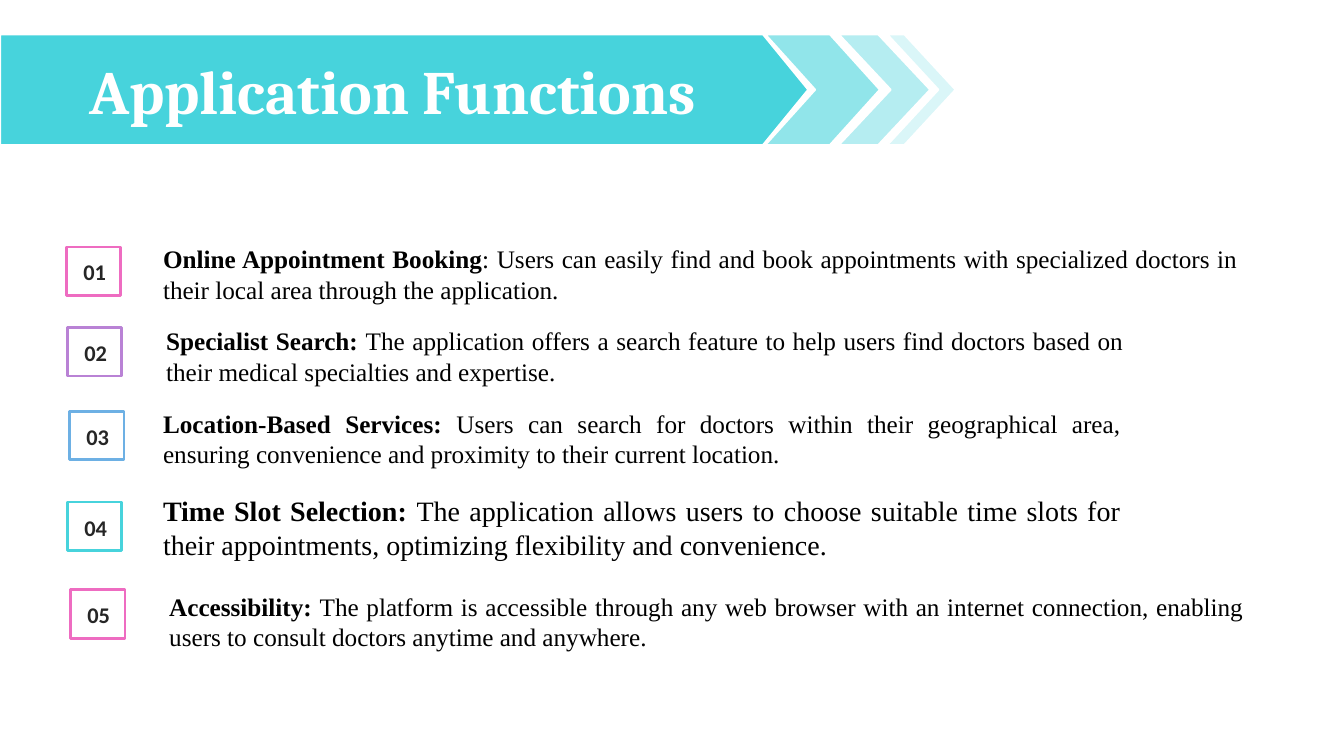
from dataclasses import dataclass
from typing import Any

from pptx import Presentation
from pptx import util as u
from pptx.dml.color import RGBColor
from pptx.enum import shapes, text

WHITE = RGBColor(0xFF, 0xFF, 0xFF)
BLACK = RGBColor(0x00, 0x00, 0x00)
CHARCOAL = RGBColor(0x26, 0x26, 0x26)
TEAL = RGBColor(0x47, 0xD3, 0xDC)
TEAL_MEDIUM = RGBColor(0x91, 0xE5, 0xEA)
TEAL_LIGHT = RGBColor(0xB5, 0xED, 0xF1)
TEAL_PALE = RGBColor(0xDA, 0xF6, 0xF8)
PINK = RGBColor(0xEE, 0x6C, 0xC1)
PURPLE = RGBColor(0xB9, 0x82, 0xD5)
BLUE = RGBColor(0x6D, 0xB0, 0xE4)

BANNER_TOP, BANNER_HEIGHT = 24.5, 79.2
BADGE_WIDTH, BADGE_HEIGHT = 38.9, 34.6
NUMBER_WIDTH, NUMBER_HEIGHT = 33.8, 26.6
NUMBER_SHIFT_X, NUMBER_SHIFT_Y = 3.2, 4.8

TITLE_FORMAT = {"name": "Cambria", "size": u.Pt(44), "bold": True}
NUMBER_FORMAT = {"name": "Calibri", "size": u.Pt(16), "bold": True}


@dataclass
class BannerPiece:
    kind: shapes.MSO_SHAPE
    left: float
    width: float
    point: float
    fill: RGBColor
    title: str = ""


@dataclass
class Feature:
    color: RGBColor
    badge_left: float
    badge_top: float
    left: float
    top: float
    width: float
    height: float
    heading: str
    detail: str
    size: float = 18


BANNER = [
    BannerPiece(shapes.MSO_SHAPE.CHEVRON, 599, 65.5, 0.567, TEAL_LIGHT),
    BannerPiece(shapes.MSO_SHAPE.PENTAGON, 0, 577.4, 0.409, TEAL, "Application Functions"),
    BannerPiece(shapes.MSO_SHAPE.CHEVRON, 633.6, 49, 0.747, TEAL_PALE),
    BannerPiece(shapes.MSO_SHAPE.CHEVRON, 546.5, 82.1, 0.451, TEAL_MEDIUM),
]

FEATURES = [
    Feature(PINK, 47.5, 176.4, 109.4, 170.6, 781.9, 51.1, "Online Appointment Booking",
            ": Users can easily find and book appointments with specialized doctors in "
            "their local area through the application."),
    Feature(PURPLE, 48.2, 234, 111.6, 229, 698.4, 51.1, "Specialist Search: ",
            "The application offers a search feature to help users find doctors based on "
            "their medical specialties and expertise."),
    Feature(BLUE, 49.7, 293.8, 109.4, 288, 698.4, 51.1, "Location-Based Services: ",
            "Users can search for doctors within their geographical area, "
            "ensuring convenience and proximity to their current location."),
    Feature(TEAL, 48.2, 358.6, 109.4, 349.2, 698.4, 55.4, "Time Slot Selection: ",
            "The application allows users to choose suitable time slots for "
            "their appointments, optimizing flexibility and convenience.", 20),
    Feature(PINK, 50.4, 421.2, 113.8, 419, 781.9, 72.7, "Accessibility: ",
            "The platform is accessible through any web browser with an internet connection, "
            "enabling users to consult doctors anytime and anywhere."),
]


def add_span(para: Any, words: str, formats: dict[str, Any], color: RGBColor) -> None:
    span = para.add_run()
    span.text = words
    for name, value in formats.items():
        setattr(span.font, name, value)
    span.font.color.rgb = color


def add_block(page: Any, kind: shapes.MSO_SHAPE, left: float, top: float, width: float,
              height: float, fill: RGBColor, line: RGBColor, weight: float) -> Any:
    block = page.shapes.add_shape(kind, u.Pt(left), u.Pt(top), u.Pt(width), u.Pt(height))
    block.shadow.inherit = False
    block.fill.solid()
    block.fill.fore_color.rgb = fill
    block.line.color.rgb = line
    block.line.width = u.Pt(weight)
    return block


def add_text(page: Any, left: float, top: float, width: float, height: float,
             align: text.PP_ALIGN, wrap: bool) -> Any:
    box = page.shapes.add_textbox(u.Pt(left), u.Pt(top), u.Pt(width), u.Pt(height))
    box.text_frame.word_wrap = wrap
    box.text_frame.auto_size = text.MSO_AUTO_SIZE.SHAPE_TO_FIT_TEXT
    para = box.text_frame.paragraphs[0]
    para.alignment = align
    return para


def draw_banner_piece(page: Any, piece: BannerPiece) -> None:
    block = add_block(page, piece.kind, piece.left, BANNER_TOP, piece.width,
                      BANNER_HEIGHT, piece.fill, WHITE, 1.5)
    block.adjustments[0] = piece.point
    if piece.title:
        block.text_frame.vertical_anchor = text.MSO_ANCHOR.MIDDLE
        para = block.text_frame.paragraphs[0]
        para.alignment = text.PP_ALIGN.CENTER
        add_span(para, piece.title, TITLE_FORMAT, WHITE)


def draw_feature(page: Any, number: int, feature: Feature) -> None:
    add_block(page, shapes.MSO_SHAPE.RECTANGLE, feature.badge_left, feature.badge_top,
              BADGE_WIDTH, BADGE_HEIGHT, WHITE, feature.color, 2)
    label = add_text(page, feature.badge_left + NUMBER_SHIFT_X,
                     feature.badge_top + NUMBER_SHIFT_Y, NUMBER_WIDTH, NUMBER_HEIGHT,
                     text.PP_ALIGN.CENTER, False)
    add_span(label, f"{number:02d}", NUMBER_FORMAT, CHARCOAL)

    para = add_text(page, feature.left, feature.top, feature.width, feature.height,
                    text.PP_ALIGN.JUSTIFY, True)
    for words, bold in ((feature.heading, True), (feature.detail, False)):
        formats = {"name": "Times New Roman", "size": u.Pt(feature.size), "bold": bold}
        add_span(para, words, formats, BLACK)


def main() -> None:
    deck = Presentation()
    deck.slide_width, deck.slide_height = u.Pt(960), u.Pt(540)
    page = deck.slides.add_slide(deck.slide_layouts[6])
    for piece in BANNER:
        draw_banner_piece(page, piece)
    for number, feature in enumerate(FEATURES, start=1):
        draw_feature(page, number, feature)
    deck.save("out.pptx")


if __name__ == "__main__":
    main()
